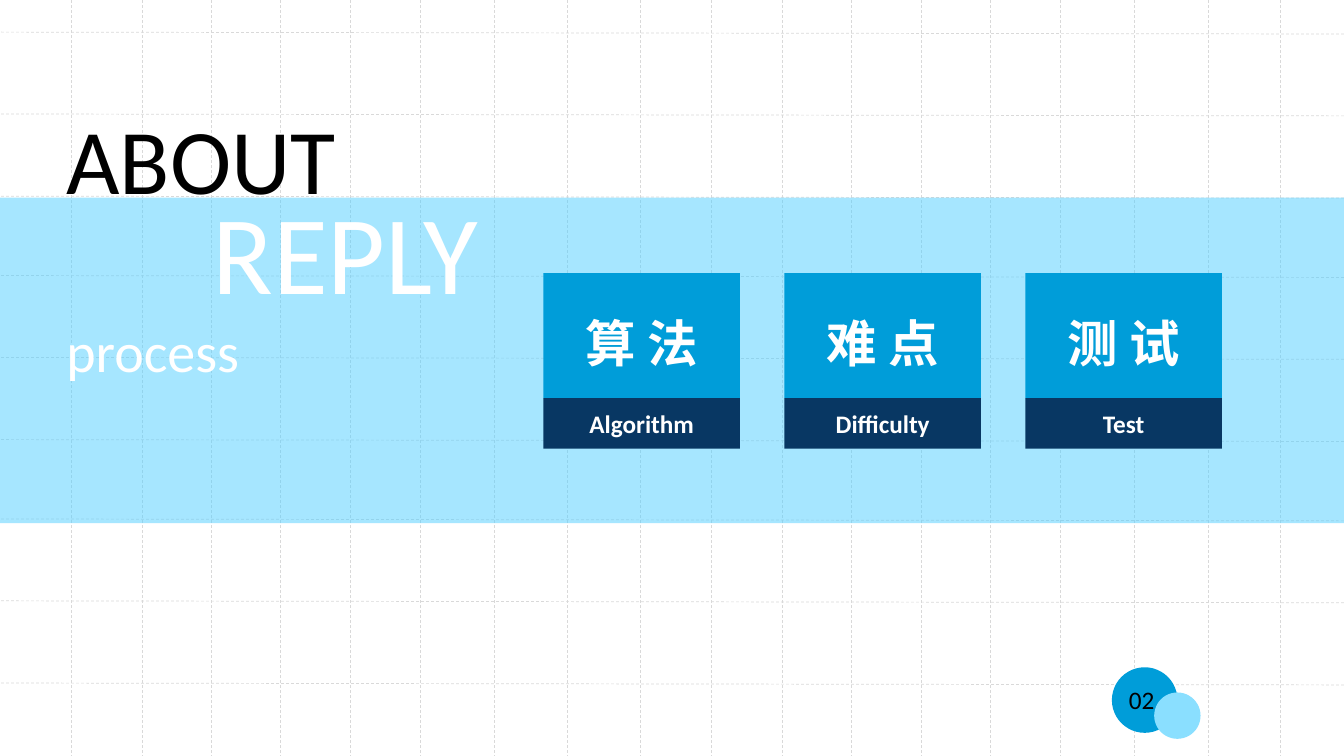
from lxml import etree
from pptx import Presentation
from pptx.dml.color import RGBColor
from pptx.enum.dml import MSO_LINE
from pptx.enum.shapes import MSO_CONNECTOR, MSO_SHAPE
from pptx.enum.text import MSO_ANCHOR as Anchor, PP_ALIGN as Align
from pptx.oxml.ns import qn
from pptx.util import Inches, Pt

WIDTH, HEIGHT = Inches(13.333), Inches(7.5)
FONT = "Calibri"
COLORS = {
    "grid": "D9D9D9", "blue": "009DD9", "light": "8ADFFF", "band": "4FCEFF",
    "navy": "083763", "white": "FFFFFF", "black": "000000",
}

# All positions are percentages of the slide's width and height.
GRID_COLUMNS = (5.33, 10.6, 15.75, 20.9, 26.05, 31.28, 36.75, 42.25, 47.63)
GRID_COLUMN_PERIOD = 47.63
GRID_ROWS = (4.5, 15.33, 26.2)
GRID_ROW_PERIOD = 32.2
GRID_TILT = 0.25

CARDS = (("算 法", "Algorithm"), ("难 点", "Difficulty"), ("测 试", "Test"))
CARD_LEFT, CARD_STEP, CARD_WIDTH = 40.43, 17.93, 14.63
CARD_TOP, CARD_HEIGHT, CAPTION_HEIGHT = 36.13, 16.53, 6.67


def across(share):
    return round(WIDTH * share / 100)


def down(share):
    return round(HEIGHT * share / 100)


def place(left, top, width, height):
    return across(left), down(top), across(width), down(height)


def color(name):
    return RGBColor.from_string(COLORS[name])


def write(paragraph, text, size, tint="white", bold=False, align=Align.LEFT):
    paragraph.alignment = align
    run = paragraph.add_run()
    run.text = text
    font = run.font
    font.name, font.size, font.bold = FONT, Pt(size), bold
    font.color.rgb = color(tint)


def add_line(slide, x1, y1, x2, y2):
    line = slide.shapes.add_connector(
        MSO_CONNECTOR.STRAIGHT, across(x1), down(y1), across(x2), down(y2))
    line.line.color.rgb = color("grid")
    line.line.width = Pt(0.5)
    line.line.dash_style = MSO_LINE.DASH
    etree.SubElement(line._element.spPr, qn("a:effectLst"))


def add_block(slide, kind, box, fill, opacity=100):
    shape = slide.shapes.add_shape(kind, *place(*box))
    shape.shadow.inherit = False
    shape.fill.solid()
    shape.fill.fore_color.rgb = color(fill)
    shape.line.fill.background()
    if opacity < 100:
        tint = shape._element.spPr.find(qn("a:solidFill"))[0]
        etree.SubElement(tint, qn("a:alpha")).set("val", str(opacity * 1000))
    return shape


def add_text_box(slide, box):
    frame = slide.shapes.add_textbox(*place(*box)).text_frame
    frame.word_wrap = True
    return frame


def add_grid(slide):
    for period in range(2):
        for column in GRID_COLUMNS:
            x = column + period * GRID_COLUMN_PERIOD
            add_line(slide, x, 0, x, 100)
    for period in range(3):
        for row in GRID_ROWS:
            y = row + period * GRID_ROW_PERIOD
            add_line(slide, 100, y, 0, y - GRID_TILT)


def add_heading(slide):
    title = slide.shapes.title
    title.left, title.top, title.width, title.height = place(4.2, 12.8, 22.05, 16.13)
    frame = title.text_frame
    frame.vertical_anchor = Anchor.TOP
    write(frame.paragraphs[0], "ABOUT", 66, tint="black")
    slide.shapes._spTree.append(title._element)  # bring in front of the band

    frame = add_text_box(slide, (4.2, 23.47, 33.08, 28.27))
    reply = frame.paragraphs[0]
    reply._p.get_or_add_pPr().set("marL", str(Inches(1.45)))
    write(reply, "REPLY", 80)
    write(frame.add_paragraph(), "process", 40)


def add_card(slide, left, name, caption):
    head = add_block(slide, MSO_SHAPE.RECTANGLE,
                     (left, CARD_TOP, CARD_WIDTH, CARD_HEIGHT), "blue")
    head.text_frame.margin_top = down(2.3)
    foot = add_block(slide, MSO_SHAPE.RECTANGLE,
                     (left, CARD_TOP + CARD_HEIGHT, CARD_WIDTH, CAPTION_HEIGHT), "navy")
    for shape, text, size in ((head, name, 36), (foot, caption, 18)):
        shape.text_frame.vertical_anchor = Anchor.MIDDLE
        write(shape.text_frame.paragraphs[0], text, size,
              bold=True, align=Align.CENTER)


def add_page_number(slide, number):
    frame = add_text_box(slide, (83.25, 89.87, 4.35, 5.6))
    write(frame.paragraphs[0], number, 18, tint="black")


def main():
    presentation = Presentation()
    presentation.slide_width, presentation.slide_height = WIDTH, HEIGHT
    slide = presentation.slides.add_slide(presentation.slide_layouts[5])

    # Background
    add_grid(slide)
    add_block(slide, MSO_SHAPE.OVAL, (82.73, 88.27, 4.88, 8.67), "blue")
    add_block(slide, MSO_SHAPE.OVAL, (85.88, 91.6, 3.45, 6.13), "light")
    add_block(slide, MSO_SHAPE.RECTANGLE, (0, 26.13, 100, 43.07), "band", opacity=50)

    # Content
    add_heading(slide)
    for index, (name, caption) in enumerate(CARDS):
        add_card(slide, CARD_LEFT + index * CARD_STEP, name, caption)
    add_page_number(slide, "02")

    presentation.save("out.pptx")


if __name__ == "__main__":
    main()
